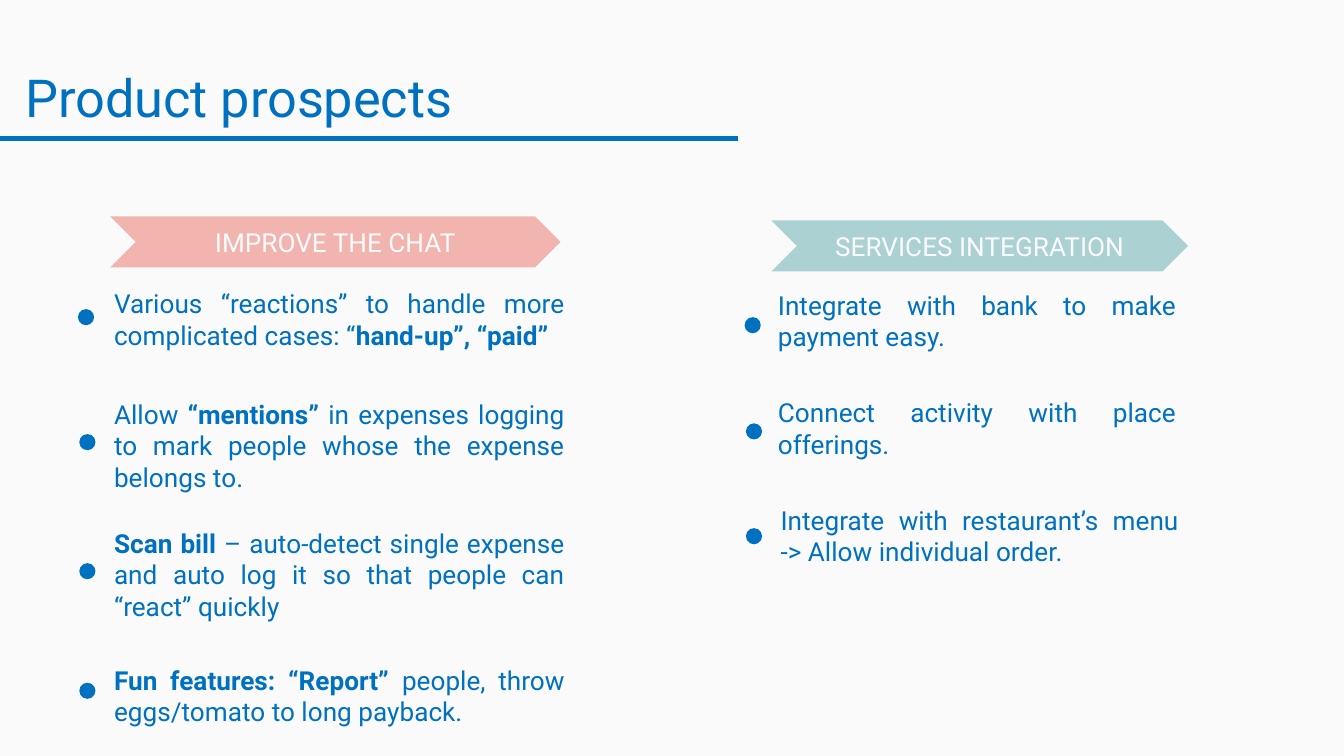
import pptx
import pptx.dml.color
import pptx.enum.shapes
import pptx.enum.text
import pptx.oxml.ns
import pptx.util
from lxml import etree

Inches = pptx.util.Inches
Pt = pptx.util.Pt
ALIGN = pptx.enum.text.PP_ALIGN
ANCHOR = pptx.enum.text.MSO_ANCHOR
SHAPE = pptx.enum.shapes.MSO_SHAPE

FONT = "Roboto"
COLORS = {
    "background": "FAFAFA",
    "blue": "0070C0",
    "pink": "F1B4AF",
    "teal": "ABD1D3",
    "white": "FBFBFB",
}
ITEM_HEIGHT = 0.79
DOT_SIZE = 0.12

CHAT_ITEMS = [
    (0.75, 1.98, 0.58, 2.3, [
        ("Various “reactions” to handle more complicated cases: “", False),
        ("hand-up”, “paid”", True)]),
    (0.75, 2.92, 0.59, 3.23, [
        ("Allow ", False),
        ("“mentions” ", True),
        ("in expenses logging to mark people whose the expense belongs to.", False)]),
    (0.75, 3.88, 0.59, 4.19, [
        ("Scan bill ", True),
        ("– auto-detect single expense and auto log it so that people can “react” quickly", False)]),
    (0.75, 4.78, 0.59, 5.08, [
        ("Fun features: “Report” ", True),
        ("people, throw eggs/tomato to long payback.", False)]),
]
SERVICE_ITEMS = [
    (5.69, 1.99, 5.54, 2.36, [("Integrate with bank to make payment easy.", False)]),
    (5.69, 2.79, 5.55, 3.15, [("Connect activity with place offerings.", False)]),
    (5.71, 3.59, 5.55, 3.93, [
        ("Integrate with restaurant’s menu -> Allow individual order.", False)]),
]


def rgb(name):
    return pptx.dml.color.RGBColor.from_string(COLORS[name])


def style_paragraph(paragraph, size, color, alignment):
    paragraph.alignment = alignment
    paragraph.font.name = FONT
    paragraph.font.size = Pt(size)
    paragraph.font.color.rgb = rgb(color)


def add_text(slide, left, top, width, height, runs, size, anchor, alignment):
    frame = slide.shapes.add_textbox(
        Inches(left), Inches(top), Inches(width), Inches(height)).text_frame
    frame.word_wrap = True
    frame.vertical_anchor = anchor
    frame.margin_left = frame.margin_right = Inches(0.1)
    frame.margin_top = frame.margin_bottom = Inches(0.1)
    paragraph = frame.paragraphs[0]
    for text, bold in runs:
        run = paragraph.add_run()
        run.text = text
        if bold:
            run.font.bold = True
    style_paragraph(paragraph, size, "blue", alignment)


def add_filled_shape(slide, kind, left, top, width, height, color):
    shape = slide.shapes.add_shape(
        kind, Inches(left), Inches(top), Inches(width), Inches(height))
    shape.shadow.inherit = False
    shape.fill.solid()
    shape.fill.fore_color.rgb = rgb(color)
    shape.line.fill.background()
    return shape


def add_heading(slide, left, top, width, text, color):
    shape = add_filled_shape(slide, SHAPE.CHEVRON, left, top, width, 0.38, color)
    frame = shape.text_frame
    frame.vertical_anchor = ANCHOR.MIDDLE
    frame.text = text
    style_paragraph(frame.paragraphs[0], 14, "white", ALIGN.CENTER)


def add_items(slide, items, width):
    for left, top, dot_left, dot_top, runs in items:
        add_text(slide, left, top, width, ITEM_HEIGHT, runs, 14,
                 ANCHOR.MIDDLE, ALIGN.JUSTIFY)
        add_filled_shape(slide, SHAPE.OVAL, dot_left, dot_top,
                         DOT_SIZE, DOT_SIZE, "blue")


def add_title_rule(slide):
    rule = slide.shapes.add_connector(
        pptx.enum.shapes.MSO_CONNECTOR.STRAIGHT,
        Inches(-0.01), Inches(1.03), Inches(5.49), Inches(1.03))
    rule.line.color.rgb = rgb("blue")
    rule.line.width = Pt(2.25)
    etree.SubElement(rule._element.spPr, pptx.oxml.ns.qn("a:effectLst"))


def main():
    presentation = pptx.Presentation()
    presentation.slide_width = Inches(10)
    presentation.slide_height = Inches(10 * 9 / 16)
    slide = presentation.slides.add_slide(presentation.slide_layouts[6])
    slide.background.fill.solid()
    slide.background.fill.fore_color.rgb = rgb("background")

    add_text(slide, 0.09, 0.21, 7.83, 0.84, [("Product prospects", False)], 28,
             ANCHOR.BOTTOM, ALIGN.LEFT)
    add_title_rule(slide)
    add_heading(slide, 0.82, 1.61, 3.35, "IMPROVE THE CHAT", "pink")
    add_items(slide, CHAT_ITEMS, 3.55)
    add_heading(slide, 5.74, 1.64, 3.1, "SERVICES INTEGRATION", "teal")
    add_items(slide, SERVICE_ITEMS, 3.16)
    presentation.save("out.pptx")


if __name__ == "__main__":
    main()
